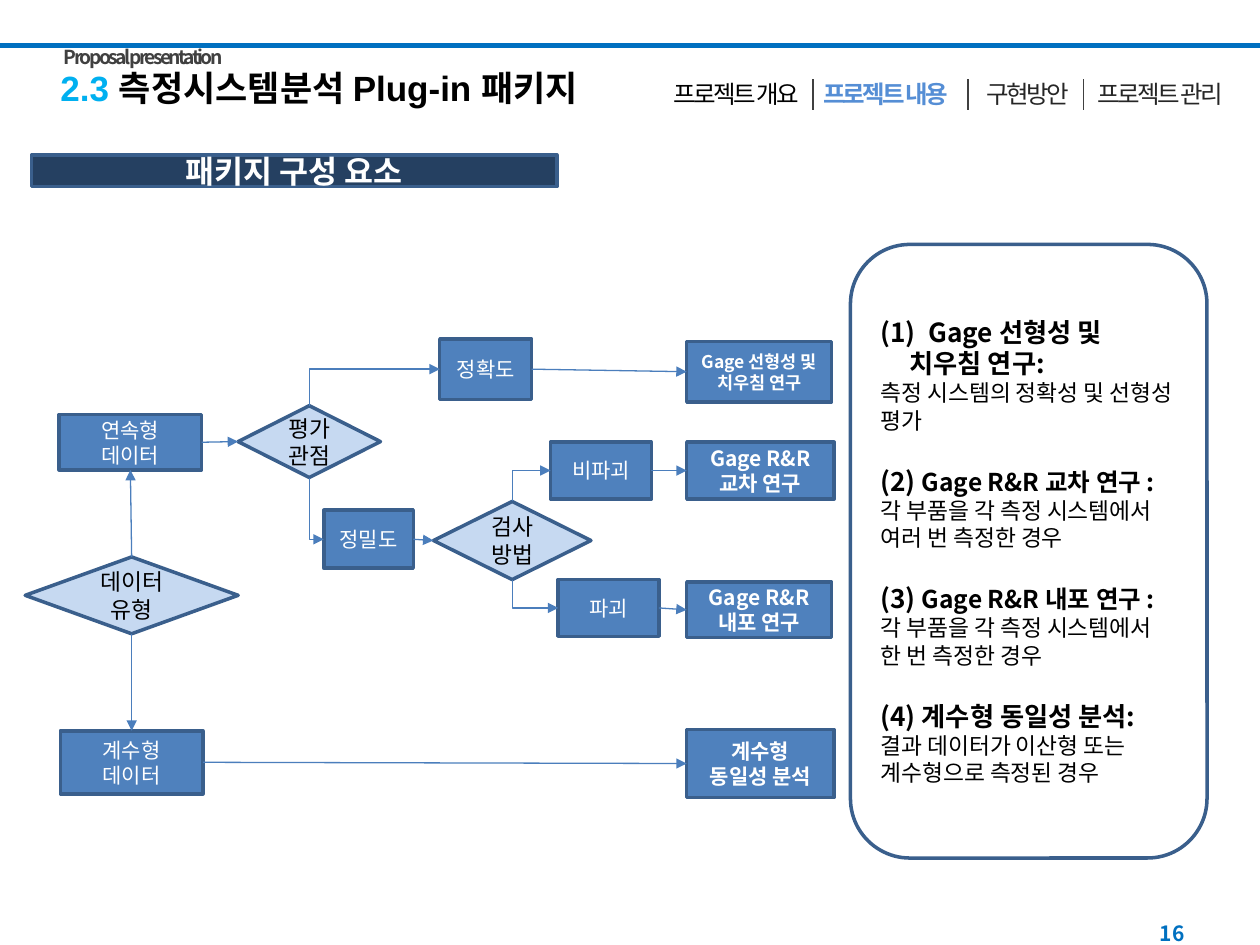
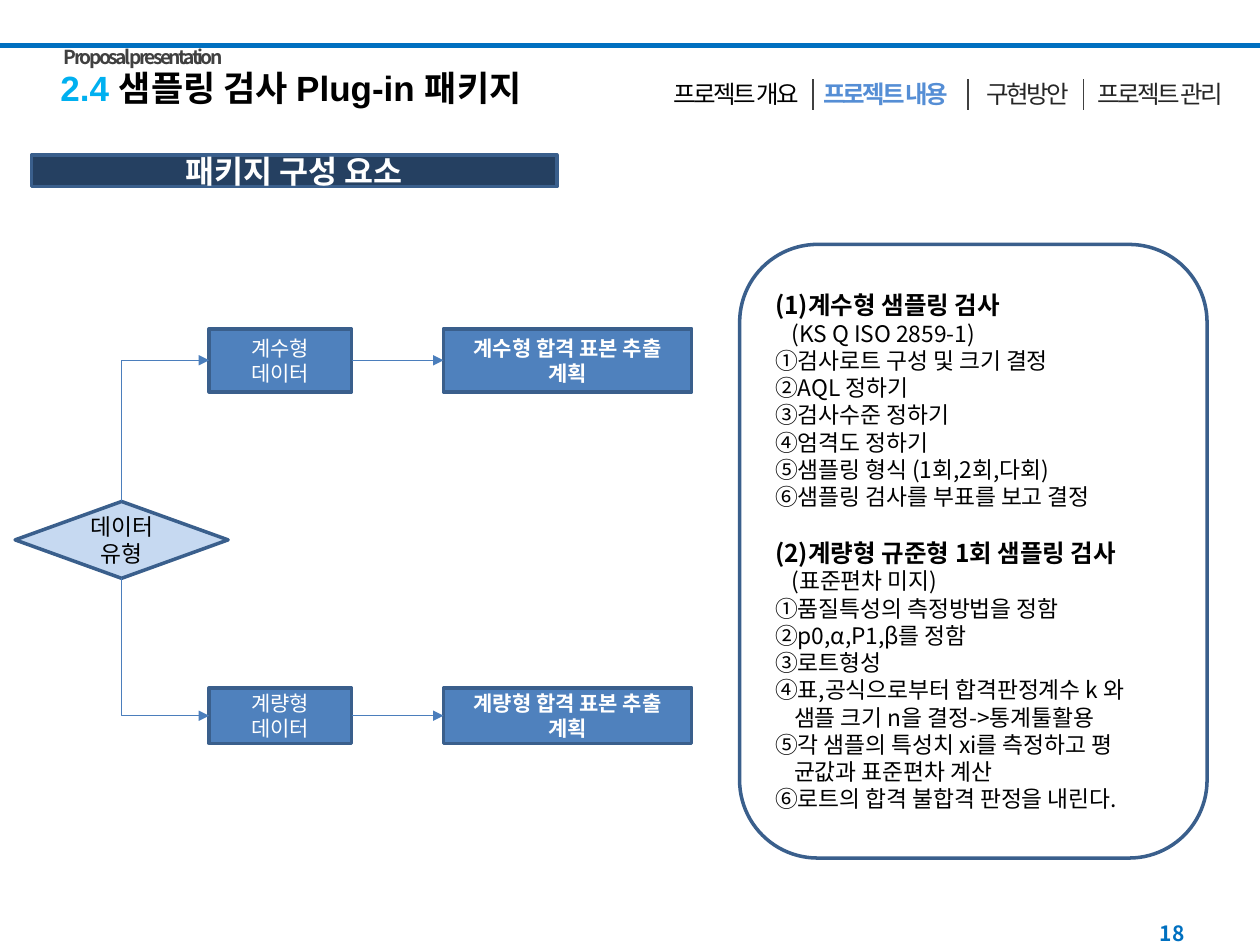
from lxml import etree
from pptx import Presentation
from pptx import util as u
from pptx.dml.color import RGBColor
from pptx.enum import shapes, text
from pptx.oxml import ns

In, Pt = u.Inches, u.Pt
KIND, CXN = shapes.MSO_SHAPE, shapes.MSO_CONNECTOR
ALIGN, ANCHOR = text.PP_ALIGN, text.MSO_ANCHOR

BLACK = RGBColor(0x00, 0x00, 0x00)
WHITE = RGBColor(0xFF, 0xFF, 0xFF)
RULE_BLUE = RGBColor(0x00, 0x70, 0xC0)
NUMBER_BLUE = RGBColor(0x00, 0xB0, 0xF0)
ACTIVE_BLUE = RGBColor(0x55, 0x8E, 0xD5)
DARK_GREY = RGBColor(0x40, 0x40, 0x40)
NAV_GREY = RGBColor(0x26, 0x26, 0x26)
BANNER_NAVY = RGBColor(0x25, 0x40, 0x61)
OUTLINE = RGBColor(0x3A, 0x5F, 0x8C)
BOX_BLUE = RGBColor(0x4F, 0x81, 0xBD)
DIAMOND_BLUE = RGBColor(0xC6, 0xD9, 0xF1)
ARROW_BLUE = RGBColor(0x4B, 0x7E, 0xBC)

FONT, TITLE_FONT = "Noto Sans CJK KR", "Arial"
LINE_HEIGHT = 1.2
TOP, LEFT, BOTTOM, RIGHT = range(4)  # connection sites

# label, left, top, width, colour, bold
NAV = [
    ("프로젝트 개요", 5, 1.69, BLACK, False),
    ("프로젝트 내용", 6.36, 1.34, ACTIVE_BLUE, True),
    ("구현방안", 7.62, 1.07, NAV_GREY, False),
    ("프로젝트 관리", 8.56, 1.3, NAV_GREY, False),
]


def sub(parent, tag, **attrs):
    """Append a DrawingML element."""
    return etree.SubElement(parent, ns.qn(tag), attrs)


def site(shape, side):
    """Return the middle of one side of a shape."""
    x, y = shape.left + shape.width // 2, shape.top + shape.height // 2
    return {TOP: (x, shape.top), LEFT: (shape.left, y),
            BOTTOM: (x, shape.top + shape.height),
            RIGHT: (shape.left + shape.width, y)}[side]


class Deck:
    """Holds the presentation style and the current slide."""

    def __init__(self):
        """Start an empty 10 by 7.5 inch presentation."""
        self.prs = Presentation()
        self.prs.slide_width, self.prs.slide_height = In(10), In(7.5)
        self.s = None

    def run(self, p, words, size, color, bold=False, font=FONT, spacing=0):
        """Add one formatted run to a paragraph."""
        r = p.add_run()
        r.text = words
        r.font.size, r.font.bold, r.font.name = Pt(size), bold, font
        r.font.color.rgb = color
        sub(r.font._element, "a:ea", typeface=FONT)
        if spacing:
            r.font._element.set("spc", str(int(spacing * 100)))

    def line_up(self, p, size, align=ALIGN.LEFT, before=0):
        """Set alignment and spacing of a paragraph."""
        p.alignment = align
        p.line_spacing = Pt(size * LINE_HEIGHT)
        p.space_before = Pt(before)

    def label(self, words, x, y, w, h, size, color, bold=False,
              align=ALIGN.LEFT, spacing=0, wrap=True, anchor=ANCHOR.TOP):
        """Add a one-line text box."""
        tf = self.s.shapes.add_textbox(In(x), In(y), In(w), In(h)).text_frame
        tf.word_wrap, tf.vertical_anchor = wrap, anchor
        p = tf.paragraphs[0]
        self.line_up(p, size, align)
        self.run(p, words, size, color, bold, spacing=spacing)

    def line(self, start, end, color, width, kind=CXN.STRAIGHT):
        """Add a plain connector between two points."""
        cxn = self.s.shapes.add_connector(kind, *start, *end)
        cxn.line.color.rgb, cxn.line.width = color, Pt(width)
        sub(cxn._element.spPr, "a:effectLst")
        return cxn

    def arrow(self, a, side_a, b, side_b):
        """Link two shapes; leaving upwards or downwards to a side bends once."""
        bent = side_a in (TOP, BOTTOM) and side_b in (LEFT, RIGHT)
        cxn = self.line(site(a, side_a), site(b, side_b), ARROW_BLUE, 0.75,
                        CXN.ELBOW if bent else CXN.STRAIGHT)
        sub(cxn.line._get_or_add_ln(), "a:tailEnd", type="triangle")
        if bent:
            guides = cxn._element.spPr.find(".//" + ns.qn("a:avLst"))
            sub(guides, "a:gd", name="adj1", fmla="val 0")
        else:
            cxn.begin_connect(a, side_a)
            cxn.end_connect(b, side_b)

    def shape(self, kind, x, y, w, h, fill=None):
        """Add an outlined preset shape."""
        sp = self.s.shapes.add_shape(kind, In(x), In(y), In(w), In(h))
        sp.shadow.inherit = False
        sp.line.color.rgb, sp.line.width = OUTLINE, Pt(2)
        if fill is None:
            sp.fill.background()
        else:
            sp.fill.solid()
            sp.fill.fore_color.rgb = fill
        return sp

    def box(self, words, x, y, w, h, size=12, bold=False, fill=BOX_BLUE,
            color=WHITE, kind=KIND.FLOWCHART_PROCESS):
        """Add a flowchart box with centred text, one paragraph a line."""
        sp = self.shape(kind, x, y, w, h, fill)
        tf = sp.text_frame
        tf.word_wrap, tf.vertical_anchor = True, ANCHOR.MIDDLE
        for i, words_line in enumerate(words.split("\n")):
            p = tf.add_paragraph() if i else tf.paragraphs[0]
            self.line_up(p, size, ALIGN.CENTER)
            self.run(p, words_line, size, color, bold)
        return sp

    def diamond(self, words, x, y, w, h):
        """Add a decision diamond."""
        return self.box(words, x, y, w, h, 13, False, DIAMOND_BLUE, BLACK,
                        KIND.FLOWCHART_DECISION)

    def panel(self, x, w, items):
        """Add the rounded frame and fill the body placeholder inside it.

        An item is (runs, space before, indent, numbered); a run is
        (words, size, bold).
        """
        y, h = 1.94, 4.87
        self.shape(KIND.ROUNDED_RECTANGLE, x, y, w, h)
        inset = 0.049 * w  # the corner's share of the text area
        body = self.s.placeholders[1]
        body.left, body.top = In(x + inset), In(y + inset)
        body.width, body.height = In(w - 2 * inset), In(h - 2 * inset)
        tf = body.text_frame
        tf.word_wrap, tf.vertical_anchor = True, ANCHOR.MIDDLE
        tf.auto_size = text.MSO_AUTO_SIZE.NONE
        for i, (runs, before, indent, numbered) in enumerate(items):
            p = tf.add_paragraph() if i else tf.paragraphs[0]
            self.line_up(p, max(size for _, size, _ in runs), before=before)
            pPr = p._p.get_or_add_pPr()
            pPr.set("marL", str(In(indent)))
            pPr.set("indent", str(In(-indent if numbered else 0)))
            if numbered:
                sub(pPr, "a:buFont", typeface=FONT)
                sub(pPr, "a:buAutoNum", type="arabicParenBoth")
            else:
                sub(pPr, "a:buNone")
            for words, size, bold in runs:
                self.run(p, words, size, BLACK, bold)

    def slide(self, number, title, title_width, page):
        """Start a slide with the shared header, banner and page number."""
        self.s = self.prs.slides.add_slide(self.prs.slide_layouts[1])
        self.line((In(-0.02), In(0.36)), (In(10.02), In(0.36)), RULE_BLUE, 3)
        self.label(page, 7.17, 7.21, 2.33, 0.4, 12, RULE_BLUE, True,
                   ALIGN.RIGHT, anchor=ANCHOR.MIDDLE)
        head = self.s.shapes.title
        head.left, head.top = In(0.38), In(0.48)
        head.width, head.height = In(title_width), In(0.44)
        tf = head.text_frame
        tf.auto_size = text.MSO_AUTO_SIZE.NONE
        tf.word_wrap, tf.vertical_anchor = True, ANCHOR.TOP
        p = tf.paragraphs[0]
        self.line_up(p, 20)
        self.run(p, number + " ", 20, NUMBER_BLUE, True, TITLE_FONT)
        self.run(p, title, 20, BLACK, True, TITLE_FONT)
        for words, x, w, color, bold in NAV:
            self.label(words, x, 0.58, w, 0.34, 14, color, bold,
                       ALIGN.CENTER, -1.5, wrap=False)
        for x in (6.45, 7.68, 8.6):
            self.line((In(x), In(0.63)), (In(x), In(0.87)), DARK_GREY, 1)
        self.label("Proposal presentation", 0.41, 0.31, 2.44, 0.29, 11,
                   DARK_GREY, True, spacing=-1.5)
        self.box("패키지 구성 요소", 0.25, 1.23, 4.17, 0.25, 18, True,
                 BANNER_NAVY)


def heading(words, size, before=0):
    """Return a bold panel line."""
    return [(words, size, True)], before, 0, False


def study(number, words):
    """Return a panel heading with a larger number."""
    return [(number, 15, True), (words, 14, True)], 18, 0, False


def plain(words, indent=0):
    """Return a regular panel line."""
    return [(words, 13, False)], 0, indent, False


def measurement_slide(d):
    """Build the measurement system slide."""
    d.slide("2.3", "측정시스템분석 Plug-in 패키지", 4.92, "16")
    d.panel(6.75, 2.83, [
        ([("Gage 선형성 및", 15, True)], 0, 0.38, True),
        ([("치우침 연구:", 15, True)], 0, 0.23, False),
        plain("측정 시스템의 정확성 및 선형성 평가"),
        study("(2) ", "Gage R&R 교차 연구 :"),
        plain("각 부품을 각 측정 시스템에서 여러 번 측정한 경우"),
        study("(3) ", "Gage R&R 내포 연구 :"),
        plain("각 부품을 각 측정 시스템에서 한 번 측정한 경우"),
        heading("(4) 계수형 동일성 분석:", 15, 18),
        plain("결과 데이터가 이산형 또는 계수형으로 측정된 경우"),
    ])
    continuous = d.box("연속형\n데이터", 0.47, 3.29, 1.13, 0.44)
    discrete = d.box("계수형\n데이터", 0.48, 5.8, 1.13, 0.5)
    data_type = d.diamond("데이터유형", 0.2, 4.42, 1.69, 0.61)
    viewpoint = d.diamond("평가 관점", 1.89, 3.22, 1.13, 0.57)
    method = d.diamond("검사방법", 3.44, 3.98, 1.25, 0.62)
    accuracy = d.box("정확도", 3.49, 2.69, 0.73, 0.48)
    precision = d.box("정밀도", 2.57, 4.05, 0.71, 0.46)
    intact = d.box("비파괴", 4.37, 3.51, 0.8, 0.45)
    destructive = d.box("파괴", 4.43, 4.6, 0.8, 0.45)
    linearity = d.box("Gage 선형성 및 치우침 연구", 5.45, 2.71, 1.15, 0.48,
                      10, True)
    crossed = d.box("Gage R&R\n교차 연구", 5.45, 3.51, 1.17, 0.45, bold=True)
    nested = d.box("Gage R&R\n내포 연구", 5.45, 4.62, 1.15, 0.44, bold=True)
    agreement = d.box("계수형\n동일성 분석", 5.45, 5.79, 1.17, 0.54, bold=True)

    d.arrow(data_type, TOP, continuous, BOTTOM)
    d.arrow(data_type, BOTTOM, discrete, TOP)
    for a, b in [(viewpoint, accuracy), (method, intact)]:
        d.arrow(a, TOP, b, LEFT)
    for a, b in [(viewpoint, precision), (method, destructive)]:
        d.arrow(a, BOTTOM, b, LEFT)
    for a, b in [(continuous, viewpoint), (precision, method),
                 (accuracy, linearity), (intact, crossed),
                 (destructive, nested), (discrete, agreement)]:
        d.arrow(a, RIGHT, b, LEFT)


def sampling_slide(d):
    """Build the sampling inspection slide."""
    d.slide("2.4", "샘플링 검사 Plug-in 패키지", 4.7, "18")
    data_type = d.diamond("데이터유형", 0.12, 3.98, 1.69, 0.61)
    for kind, y, h, side in [("계수형", 2.61, 0.5, TOP),
                             ("계량형", 5.46, 0.44, BOTTOM)]:
        data = d.box(kind + "\n데이터", 1.66, y, 1.13, h)
        plan = d.box(kind + " 합격 표본 추출 계획", 3.52, y, 1.97, h, bold=True)
        d.arrow(data_type, side, data, LEFT)
        d.arrow(data, RIGHT, plan, LEFT)
    d.panel(5.87, 3.71, [
        heading("(1)계수형 샘플링 검사", 14),
        plain("(KS Q ISO 2859-1)", 0.13),
        plain("①검사로트 구성 및 크기 결정"),
        plain("②AQL 정하기"),
        plain("③검사수준 정하기"),
        plain("④엄격도 정하기"),
        plain("⑤샘플링 형식 (1회,2회,다회)"),
        plain("⑥샘플링 검사를 부표를 보고 결정"),
        heading("(2)계량형 규준형 1회 샘플링 검사", 14, 15.6),
        plain("(표준편차 미지)", 0.13),
        plain("①품질특성의 측정방법을 정함"),
        plain("②p0,α,P1,β를 정함"),
        plain("③로트형성"),
        plain("④표,공식으로부터 합격판정계수 k 와"),
        plain("샘플 크기 n을 결정->통계툴활용", 0.15),
        plain("⑤각 샘플의 특성치 xi를 측정하고 평"),
        plain("균값과 표준편차 계산", 0.15),
        plain("⑥로트의 합격 불합격 판정을 내린다."),
    ])


deck = Deck()
measurement_slide(deck)
sampling_slide(deck)
deck.prs.save("out.pptx")
